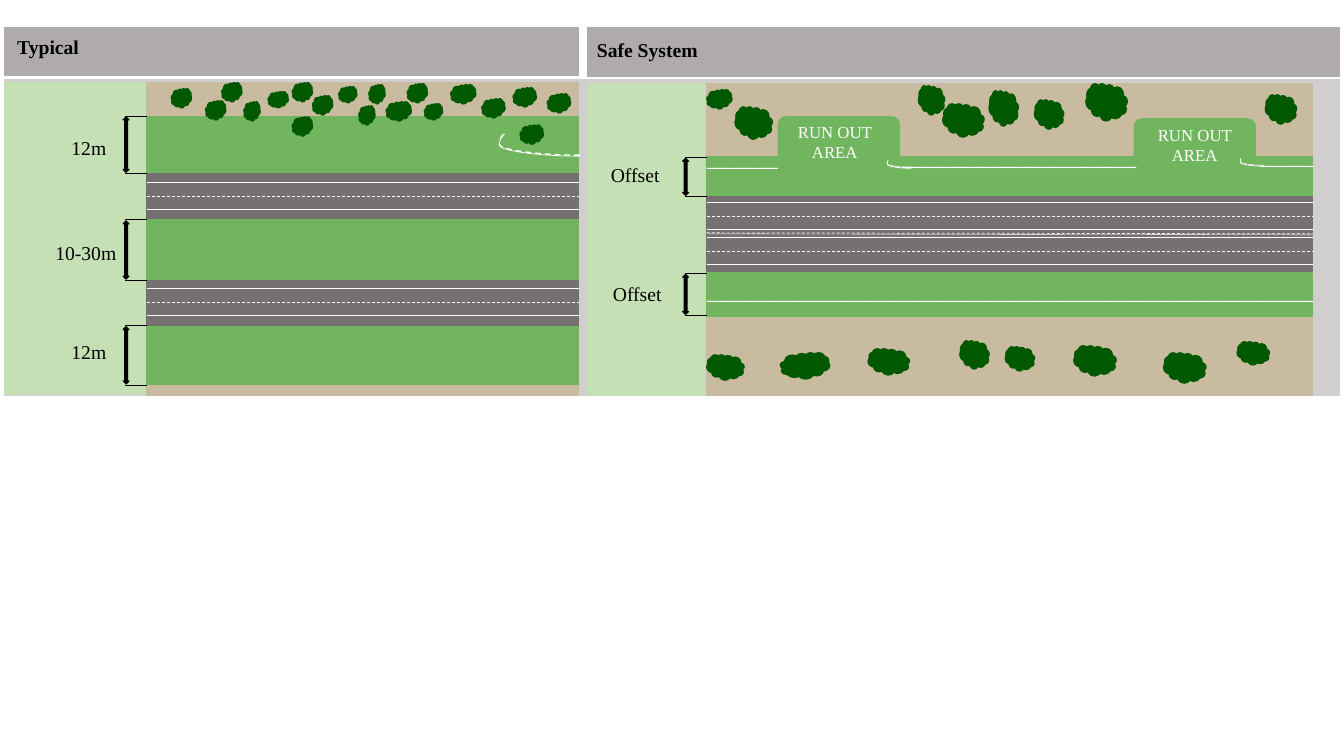
import pptx
import pptx.util
import pptx.dml.color
import pptx.enum.dml
import pptx.enum.shapes
import pptx.enum.text
import pptx.oxml
import pptx.oxml.ns

Inches = pptx.util.Inches
Pt = pptx.util.Pt
SHAPE = pptx.enum.shapes.MSO_SHAPE
CONNECTOR = pptx.enum.shapes.MSO_CONNECTOR
DASH = pptx.enum.dml.MSO_LINE
ALIGN = pptx.enum.text.PP_ALIGN
ANCHOR = pptx.enum.text.MSO_ANCHOR
AUTOFIT = pptx.enum.text.MSO_AUTO_SIZE

BLACK, WHITE = "000000", "FFFFFF"
GREY, HEADER, ASPHALT = "D0CECE", "AFABAB", "767171"
PALE, GRASS, SOIL, TREE = "C5E0B4", "72B55F", "C9BB9F", "005800"


def rgb(value):
    return pptx.dml.color.RGBColor.from_string(value)


def add_xml(parent, tag, **attrs):
    child = pptx.oxml.parse_xml(f"<{tag} {pptx.oxml.ns.nsdecls('a')}/>")
    for name, value in attrs.items():
        child.set(name, str(value))
    parent.append(child)


class Diagram:
    font = "Times New Roman"

    def __init__(self, slide):
        self.slide = slide
        self.shapes = slide.shapes

    def shape(self, x, y, w, h, color, kind=SHAPE.RECTANGLE, width=1):
        sp = self.shapes.add_shape(kind, Inches(x), Inches(y), Inches(w), Inches(h))
        sp.shadow.inherit = False
        sp.fill.solid()
        sp.fill.fore_color.rgb = rgb(color)
        sp.line.color.rgb = rgb(color)
        sp.line.width = Pt(width)
        return sp

    def tree(self, x, y, w, h, flip=False):
        sp = self.shape(x, y, w, h, TREE, SHAPE.CLOUD)
        if flip:
            sp._element.spPr.xfrm.set("flipH", "1")

    def line(self, x1, y1, x2, y2, color=WHITE, width=0.5, dash=None,
             kind=CONNECTOR.STRAIGHT, alpha=None):
        sp = self.shapes.add_connector(kind, Inches(x1), Inches(y1), Inches(x2), Inches(y2))
        sp.line.color.rgb = rgb(color)
        sp.line.width = Pt(width)
        if dash:
            sp.line.dash_style = dash
        props = sp._element.spPr
        if alpha:
            add_xml(props.find(".//" + pptx.oxml.ns.qn("a:srgbClr")), "a:alpha", val=alpha * 1000)
        add_xml(props, "a:effectLst")
        return sp

    def curve(self, x1, y1, x2, y2, bulge, **style):
        sp = self.line(x1, y1, x2, y2, kind=CONNECTOR.CURVE, **style)
        guides = sp._element.spPr.find(".//" + pptx.oxml.ns.qn("a:avLst"))
        add_xml(guides, "a:gd", name="adj1", fmla=f"val {bulge}")

    def fence(self, x1, x2, y):
        self.line(x1, y, x2, y, width=1, dash=DASH.ROUND_DOT, alpha=88)
        self.line(x1, y, x2, y)

    def lanes(self, x1, x2, y):
        for offset, dash in ((0, None), (0.27, None), (0.14, DASH.DASH)):
            self.line(x1, y + offset, x2, y + offset, dash=dash)

    def set_text(self, sp, text, size=14, color=BLACK, align=ALIGN.LEFT, bold=False):
        tf = sp.text_frame
        frame = {"word_wrap": True, "auto_size": AUTOFIT.NONE, "vertical_anchor": ANCHOR.TOP}
        for name, value in frame.items():
            setattr(tf, name, value)
        p = tf.paragraphs[0]
        spacing = {"alignment": align, "space_before": Pt(0), "line_spacing": 1.0}
        for name, value in spacing.items():
            setattr(p, name, value)
        r = p.add_run()
        r.text = text
        for name, value in {"name": self.font, "size": Pt(size), "bold": bold}.items():
            setattr(r.font, name, value)
        r.font.color.rgb = rgb(color)

    def label(self, x, y, w, h, text, **style):
        sp = self.shapes.add_textbox(Inches(x), Inches(y), Inches(w), Inches(h))
        self.set_text(sp, text, **style)

    def heading(self, idx, x, y, text):
        sp = next(s for s in self.slide.placeholders if s.placeholder_format.idx == idx)
        box = {"left": x, "top": y, "width": 1.4, "height": 0.34}
        for name, value in box.items():
            setattr(sp, name, Inches(value))
        self.set_text(sp, text, bold=True)
        self.shapes._spTree.append(sp._element)

    def dimension(self, edge, top, bottom, text, x, y, w=0.75):
        for level in (top, bottom):
            self.line(edge, level, edge - 0.22, level, color=BLACK)
        length, thick = bottom - top - 0.02, 0.06
        sp = self.shape(edge - 0.21 - length / 2, (top + bottom - thick) / 2, length, thick,
                        BLACK, SHAPE.LEFT_RIGHT_ARROW, 0)
        sp.rotation = 90
        self.label(x, y, w, 0.34, text)


prs = pptx.Presentation()
prs.slide_width, prs.slide_height = Inches(13.33), Inches(7.5)
s = prs.slides.add_slide(prs.slide_layouts[4])
d = Diagram(s)

d.shape(0.05, 0.79, 13.23, 3.13, GREY)
d.shape(0.05, 0.27, 5.69, 0.48, HEADER)
d.shape(5.83, 0.27, 7.45, 0.49, HEADER)
d.shape(0.05, 0.82, 1.41, 3.09, PALE)

LEFT, LEFT_END = 1.46, 5.74
for y, h, color in ((1.14, 0.6, GRASS), (3.23, 0.6, GRASS), (2.17, 0.61, GRASS),
                    (1.72, 0.45, ASPHALT), (2.78, 0.45, ASPHALT),
                    (0.82, 0.32, SOIL), (3.83, 0.09, SOIL)):
    d.shape(LEFT, y, LEFT_END - LEFT, h, color)
for y in (1.81, 2.86):
    d.lanes(LEFT, LEFT_END, y)

typical_trees = (
    (1.7, 0.88, 0.2, 0.19), (2.04, 1, 0.2, 0.19), (2.2, 0.82, 0.2, 0.19),
    (2.42, 1.01, 0.16, 0.19), (2.66, 0.91, 0.2, 0.16), (2.9, 1.16, 0.2, 0.19),
    (2.9, 0.82, 0.2, 0.19), (3.1, 0.95, 0.2, 0.19), (3.36, 0.86, 0.18, 0.16),
    (3.56, 1.05, 0.16, 0.19), (3.66, 0.84, 0.16, 0.19), (3.83, 1.01, 0.25, 0.19),
    (4.04, 0.83, 0.2, 0.19), (4.21, 1.03, 0.18, 0.16), (4.47, 0.84, 0.25, 0.19),
    (4.78, 0.98, 0.23, 0.19), (5.09, 0.87, 0.23, 0.19), (5.43, 0.93, 0.23, 0.19),
    (5.16, 1.24, 0.23, 0.19))
for box in typical_trees:
    d.tree(*box)

RIGHT, RIGHT_END = 7.01, 13.02
for y, h, color in ((1.54, 0.4, GRASS), (1.95, 0.74, ASPHALT), (0.83, 0.71, SOIL),
                    (2.71, 0.43, GRASS), (3.15, 0.77, SOIL)):
    d.shape(RIGHT, y, RIGHT_END - RIGHT, h, color)
for y in (2.01, 2.35):
    d.lanes(RIGHT, RIGHT_END, y)
d.line(RIGHT, 2.32, RIGHT_END, 2.33, width=0.25)
d.line(RIGHT, 2.31, RIGHT_END, 2.32, dash=DASH.DASH)
for x, y in ((7.72, 1.16), (11.25, 1.18)):
    d.shape(x, y, 1.2, 0.46, GRASS, SHAPE.FLOWCHART_ALTERNATE_PROCESS)
d.shape(5.83, 0.83, 1.16, 3.09, PALE)
for x1, x2, y in ((RIGHT, 7.72, 1.67), (8.95, 11.27, 1.66),
                  (12.5, RIGHT_END, 1.65), (RIGHT, RIGHT_END, 2.99)):
    d.fence(x1, x2, y)

safe_trees = (
    (7.01, 0.89, 0.25, 0.19, False), (7.29, 1.06, 0.37, 0.32, True),
    (9.11, 0.85, 0.26, 0.29, True), (9.35, 1.03, 0.41, 0.33, True),
    (9.81, 0.9, 0.29, 0.35, True), (10.26, 0.99, 0.29, 0.29, True),
    (10.77, 0.83, 0.41, 0.37, True), (12.55, 0.94, 0.31, 0.29, True),
    (7.01, 3.52, 0.37, 0.25, True), (8.61, 3.46, 0.41, 0.26, True),
    (9.52, 3.38, 0.29, 0.28, True), (9.97, 3.44, 0.29, 0.24, True),
    (10.65, 3.43, 0.42, 0.3, True), (12.27, 3.39, 0.32, 0.23, True),
    (7.74, 3.5, 0.49, 0.26, False), (11.54, 3.5, 0.42, 0.3, True))
for box in safe_trees:
    d.tree(*box)

d.dimension(RIGHT, 1.56, 1.95, "Offset", 5.96, 1.57)
d.dimension(RIGHT, 2.71, 3.13, "Offset", 5.98, 2.75)
d.dimension(LEFT, 1.15, 1.72, "12m", 0.61, 1.3)
d.dimension(LEFT, 2.18, 2.78, "10-30m", 0.45, 2.34, 0.93)
d.dimension(LEFT, 3.23, 3.82, "12m", 0.61, 3.32)
for x, y in ((7.71, 1.16), (11.28, 1.19)):
    d.label(x, y, 1.14, 0.5, "RUN OUT AREA", size=12, color=WHITE, align=ALIGN.CENTER)

d.curve(5.75, 1.55, 5.01, 1.33, 107700)
d.curve(5.75, 1.54, 5.01, 1.33, 107700, width=1, dash=DASH.DASH)
for x, y in ((9.04, 1.67), (12.54, 1.65)):
    d.curve(x, y, x - 0.23, y - 0.08, 103900)
    d.curve(x, y - 0.01, x - 0.23, y - 0.08, 103900, dash=DASH.SQUARE_DOT)

d.heading(1, 0.07, 0.3, "Typical")
d.heading(3, 5.82, 0.33, "Safe System")
for sp in list(s.placeholders):
    if not sp.text_frame.text:
        sp._element.getparent().remove(sp._element)

prs.save("out.pptx")
